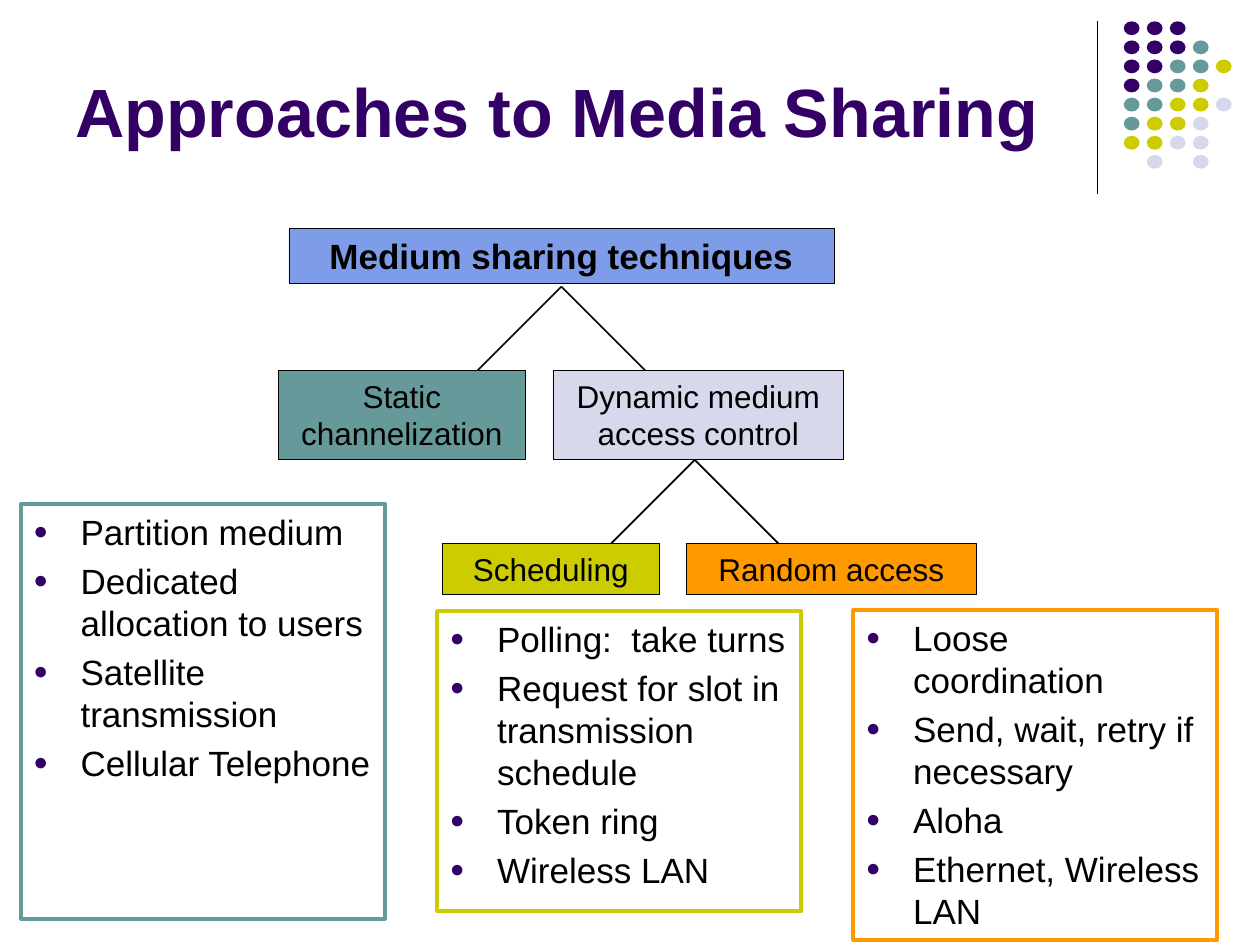
import pptx
import pptx.util
import pptx.dml.color
import pptx.enum.shapes
import pptx.enum.text
import pptx.oxml.ns
from dataclasses import dataclass
from lxml import etree

Pt = pptx.util.Pt
MSO_SHAPE = pptx.enum.shapes.MSO_SHAPE
PP_ALIGN = pptx.enum.text.PP_ALIGN
MSO_ANCHOR = pptx.enum.text.MSO_ANCHOR
qn = pptx.oxml.ns.qn


@dataclass(frozen=True)
class Theme:
    font: str = "Arial"
    purple: str = "330066"
    teal: str = "669999"
    olive: str = "CCCC00"
    lavender: str = "D8D8EC"
    blue: str = "7E9CE8"
    orange: str = "FF9900"
    black: str = "000000"
    title: int = 39
    large: int = 20
    small: int = 18


THEME = Theme()


def rgb(value):
    return pptx.dml.color.RGBColor.from_string(value)


def add_run(p, text, size, color=THEME.black, bold=False):
    r = p.add_run()
    r.text = text
    r.font.name = THEME.font
    r.font.size = Pt(size)
    r.font.bold = bold
    r.font.color.rgb = rgb(color)


def add_shape(s, kind, left, top, width, height, fill=None, line=None, weight=0.25):
    sp = s.shapes.add_shape(kind, Pt(left), Pt(top), Pt(width), Pt(height))
    sp.shadow.inherit = False
    if fill:
        sp.fill.solid()
        sp.fill.fore_color.rgb = rgb(fill)
    else:
        sp.fill.background()
    if line:
        sp.line.color.rgb = rgb(line)
        sp.line.width = Pt(weight)
    else:
        sp.line.fill.background()
    tf = sp.text_frame
    tf.word_wrap = True
    tf.vertical_anchor = MSO_ANCHOR.TOP
    return sp


def add_line(s, x1, y1, x2, y2, weight):
    cx = s.shapes.add_connector(pptx.enum.shapes.MSO_CONNECTOR.STRAIGHT,
                                Pt(x1), Pt(y1), Pt(x2), Pt(y2))
    cx.line.color.rgb = rgb(THEME.black)
    cx.line.width = Pt(weight)
    etree.SubElement(cx._element.spPr, qn("a:effectLst"))


def add_fork(s, x, y, reach=48.5):
    for side in (-1, 1):
        add_line(s, x, y, x + side * reach, y + reach, 1)


def add_node(s, text, left, top, width, height, fill, size=THEME.small, bold=False):
    sp = add_shape(s, MSO_SHAPE.RECTANGLE, left, top, width, height, fill, THEME.black)
    p = sp.text_frame.paragraphs[0]
    p.alignment = PP_ALIGN.CENTER
    add_run(p, text, size, bold=bold)


def set_bullet(p, indent=27):
    pPr = p._p.get_or_add_pPr()
    pPr.set("marL", str(Pt(indent)))
    pPr.set("indent", str(-Pt(indent)))
    color = etree.SubElement(pPr, qn("a:buClr"))
    etree.SubElement(color, qn("a:srgbClr"), val=THEME.purple)
    etree.SubElement(pPr, qn("a:buSzPct"), val="70000")
    etree.SubElement(pPr, qn("a:buFont"), typeface=THEME.font)
    etree.SubElement(pPr, qn("a:buChar"), char="●")


def add_list(s, items, left, top, height, color, width=208):
    sp = add_shape(s, MSO_SHAPE.RECTANGLE, left, top, width, height,
                   line=color, weight=2.25)
    tf = sp.text_frame
    for i, item in enumerate(items):
        p = tf.add_paragraph() if i else tf.paragraphs[0]
        set_bullet(p)
        p.alignment = PP_ALIGN.LEFT
        if i:
            p.space_before = Pt(4)
        add_run(p, item, THEME.large)


def add_dots(s):
    colors = {"P": THEME.purple, "T": THEME.teal, "Y": THEME.olive, "L": THEME.lavender}
    rows = ["PPP", "PPPT", "PPTTY", "PTTY", "TTYYL", "TYYL", "YYLL", ".L.L"]
    for i, row in enumerate(rows):
        for j, key in enumerate(row):
            if key in colors:
                add_shape(s, MSO_SHAPE.OVAL, 642.2 + 13.15 * j, 12.2 + 10.9 * i,
                          9, 7.9, colors[key])


def add_title(s, text):
    tf = s.shapes.add_textbox(Pt(36), Pt(9.4), Pt(594), Pt(80.6)).text_frame
    tf.word_wrap = True
    tf.vertical_anchor = MSO_ANCHOR.BOTTOM
    add_run(tf.paragraphs[0], text, THEME.title, THEME.purple, True)


def main():
    prs = pptx.Presentation()
    prs.slide_width, prs.slide_height = Pt(720), Pt(540)
    s = prs.slides.add_slide(prs.slide_layouts[6])

    # Corner decoration and title
    add_line(s, 627, 12, 627, 111, 0.75)
    add_dots(s)
    add_title(s, "Approaches to Media Sharing")

    # Tree of techniques
    add_fork(s, 320.8, 163.8)
    add_fork(s, 397, 262.8)
    add_node(s, "Medium sharing techniques", 165, 130.5, 311.5, 31.5,
             THEME.blue, THEME.large, True)
    add_node(s, "Static channelization", 159, 211.7, 141.3, 50.9, THEME.teal)
    add_node(s, "Dynamic medium access control", 316, 211.7, 166, 50.9, THEME.lavender)
    add_node(s, "Scheduling", 252.8, 310.5, 124, 29.1, THEME.olive)
    add_node(s, "Random access", 392.2, 310.5, 165.7, 29.1, THEME.orange)

    # Details of each technique
    add_list(s, ["Partition medium", "Dedicated allocation to users",
                 "Satellite transmission", "Cellular Telephone"],
             12, 288, 237, THEME.teal)
    add_list(s, ["Polling:  take turns", "Request for slot in transmission schedule",
                 "Token ring", "Wireless LAN"],
             250, 349.2, 171.4, THEME.olive)
    add_list(s, ["Loose coordination", "Send, wait, retry if necessary",
                 "Aloha", "Ethernet, Wireless LAN"],
             487.7, 348.5, 188.6, THEME.orange)

    prs.save("out.pptx")


if __name__ == "__main__":
    main()
